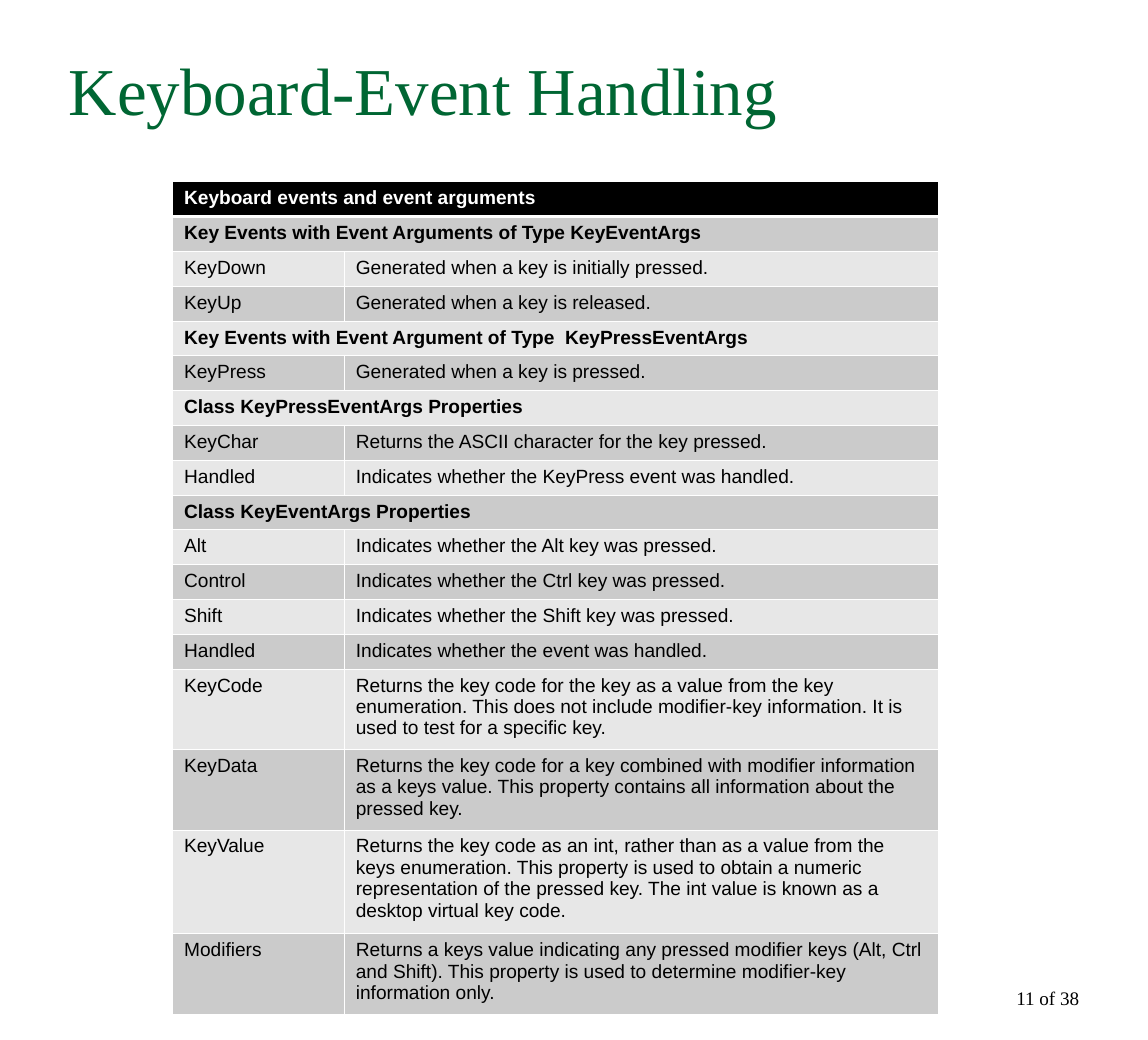
from lxml.etree import SubElement
from pptx import Presentation
from pptx.dml.color import RGBColor
from pptx.enum.text import MSO_ANCHOR, PP_ALIGN
from pptx.oxml.ns import qn
from pptx.util import Cm, Pt

GREEN = RGBColor(0x00, 0x66, 0x33)
BLACK = RGBColor(0x00, 0x00, 0x00)
WHITE = RGBColor(0xFF, 0xFF, 0xFF)
DARK_BAND = RGBColor(0xCB, 0xCB, 0xCB)
LIGHT_BAND = RGBColor(0xE7, 0xE7, 0xE7)

SERIF = "Times New Roman"
SANS = "Arial"
THIN, THICK = Pt(0.45), Pt(1.47)

# Row height by the number of text lines in the row
ROW_HEIGHTS = {1: Cm(0.77), 3: Cm(1.78), 4: Cm(2.3)}

# One-item rows are headings across both columns; otherwise name, description, lines
ROWS = [
    ("Keyboard events and event arguments",),
    ("Key Events with Event Arguments of Type KeyEventArgs",),
    ("KeyDown", "Generated when a key is initially pressed.", 1),
    ("KeyUp", "Generated when a key is released.", 1),
    ("Key Events with Event Argument of Type  KeyPressEventArgs",),
    ("KeyPress", "Generated when a key is pressed.", 1),
    ("Class KeyPressEventArgs Properties",),
    ("KeyChar", "Returns the ASCII character for the key pressed.", 1),
    ("Handled", "Indicates whether the KeyPress event was handled.", 1),
    ("Class KeyEventArgs Properties",),
    ("Alt", "Indicates whether the Alt key was pressed.", 1),
    ("Control", "Indicates whether the Ctrl key was pressed.", 1),
    ("Shift", "Indicates whether the Shift key was pressed.", 1),
    ("Handled", "Indicates whether the event was handled.", 1),
    ("KeyCode", "Returns the key code for the key as a value from the key "
     "enumeration. This does not include modifier-key information. It is "
     "used to test for a specific key.", 3),
    ("KeyData", "Returns the key code for a key combined with modifier "
     "information as a keys value. This property contains all information "
     "about the pressed key.", 3),
    ("KeyValue", "Returns the key code as an int, rather than as a value from "
     "the keys enumeration. This property is used to obtain a numeric "
     "representation of the pressed key. The int value is known as a "
     "desktop virtual key code.", 4),
    ("Modifiers", "Returns a keys value indicating any pressed modifier keys "
     "(Alt, Ctrl and Shift). This property is used to determine modifier-key "
     "information only.", 3),
]


def add_run(paragraph, text, font_name, size, color, bold=False):
    run = paragraph.add_run()
    run.text = text
    run.font.name = font_name
    run.font.size = Pt(size)
    run.font.color.rgb = color
    run.font.bold = bold


def add_text(slide, box, text, size, color, align=PP_ALIGN.LEFT, anchor=MSO_ANCHOR.TOP):
    frame = slide.shapes.add_textbox(*map(Cm, box)).text_frame
    frame.word_wrap = True
    frame.vertical_anchor = anchor
    paragraph = frame.paragraphs[0]
    paragraph.alignment = align
    add_run(paragraph, text, SERIF, size, color)


def set_borders(cell, top, bottom):
    """Give the cell white borders; top and bottom are line widths."""
    properties = cell._tc.get_or_add_tcPr()
    for side, width in (("L", THIN), ("R", THIN), ("T", top), ("B", bottom)):
        line = SubElement(properties, qn(f"a:ln{side}"), w=str(int(width)))
        fill = SubElement(line, qn("a:solidFill"))
        SubElement(fill, qn("a:srgbClr"), val=str(WHITE))


def style_row(cells, index):
    """Draw the borders and the black header or alternating band fill."""
    if index == 0:
        band = BLACK
    else:
        band = DARK_BAND if index % 2 else LIGHT_BAND
    for cell in cells:
        set_borders(cell,
                    top=THICK if index == 1 else THIN,
                    bottom=THICK if index == 0 else THIN)
        cell.fill.solid()
        cell.fill.fore_color.rgb = band


def add_events_table(slide):
    line_counts = [row[2] if len(row) == 3 else 1 for row in ROWS]
    heights = [ROW_HEIGHTS[count] for count in line_counts]
    column_widths = Cm(3.8), Cm(13.14)
    table = slide.shapes.add_table(len(ROWS), 2, Cm(3.82), Cm(4.02),
                                   sum(column_widths), sum(heights)).table
    table.horz_banding = False
    for column, width in zip(table.columns, column_widths):
        column.width = width

    for index, (content, height) in enumerate(zip(ROWS, heights)):
        row = table.rows[index]
        row.height = height
        cells = list(row.cells)
        style_row(cells, index)
        is_heading = len(content) == 1
        if is_heading:
            cells[0].merge(cells[1])
        color = WHITE if index == 0 else BLACK
        for cell, text in zip(cells, content):
            add_run(cell.text_frame.paragraphs[0], text, SANS, 12, color, is_heading)


def main():
    presentation = Presentation()
    presentation.slide_width = Cm(25.4)
    presentation.slide_height = Cm(23.01)
    slide = presentation.slides.add_slide(presentation.slide_layouts[6])

    add_text(slide, (1.27, 0.94, 22.86, 3.84), "Keyboard-Event Handling", 42, GREEN)
    add_events_table(slide)
    add_text(slide, (18.2, 20.93, 5.93, 1.52), "11 of 38", 12, BLACK,
             PP_ALIGN.RIGHT, MSO_ANCHOR.BOTTOM)

    presentation.save("out.pptx")


if __name__ == "__main__":
    main()
